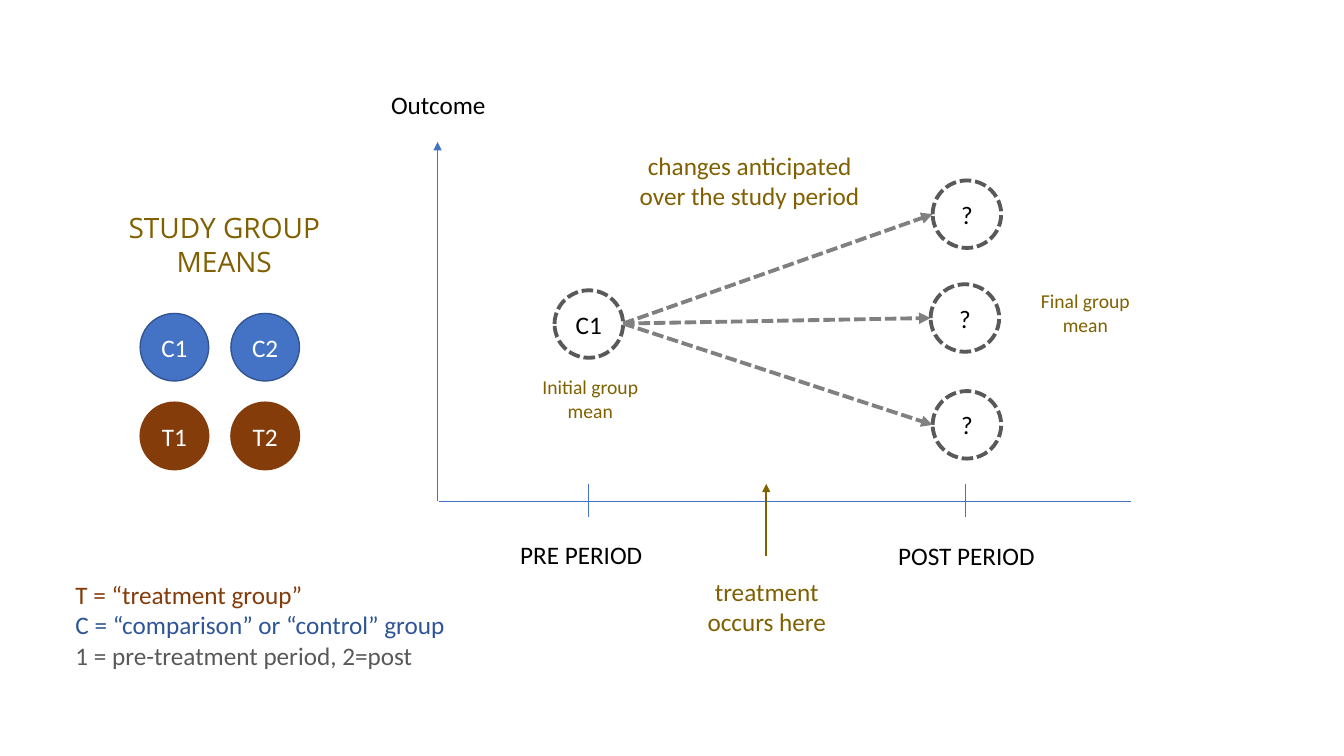
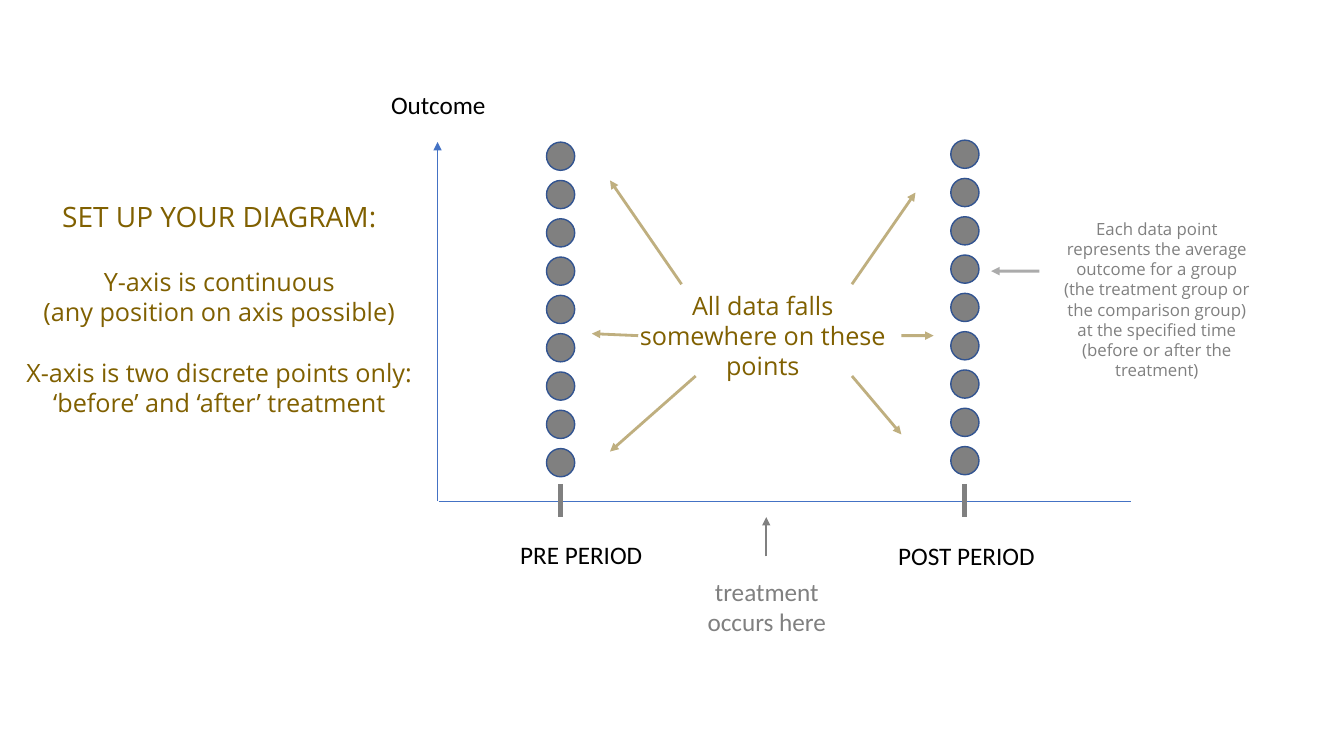
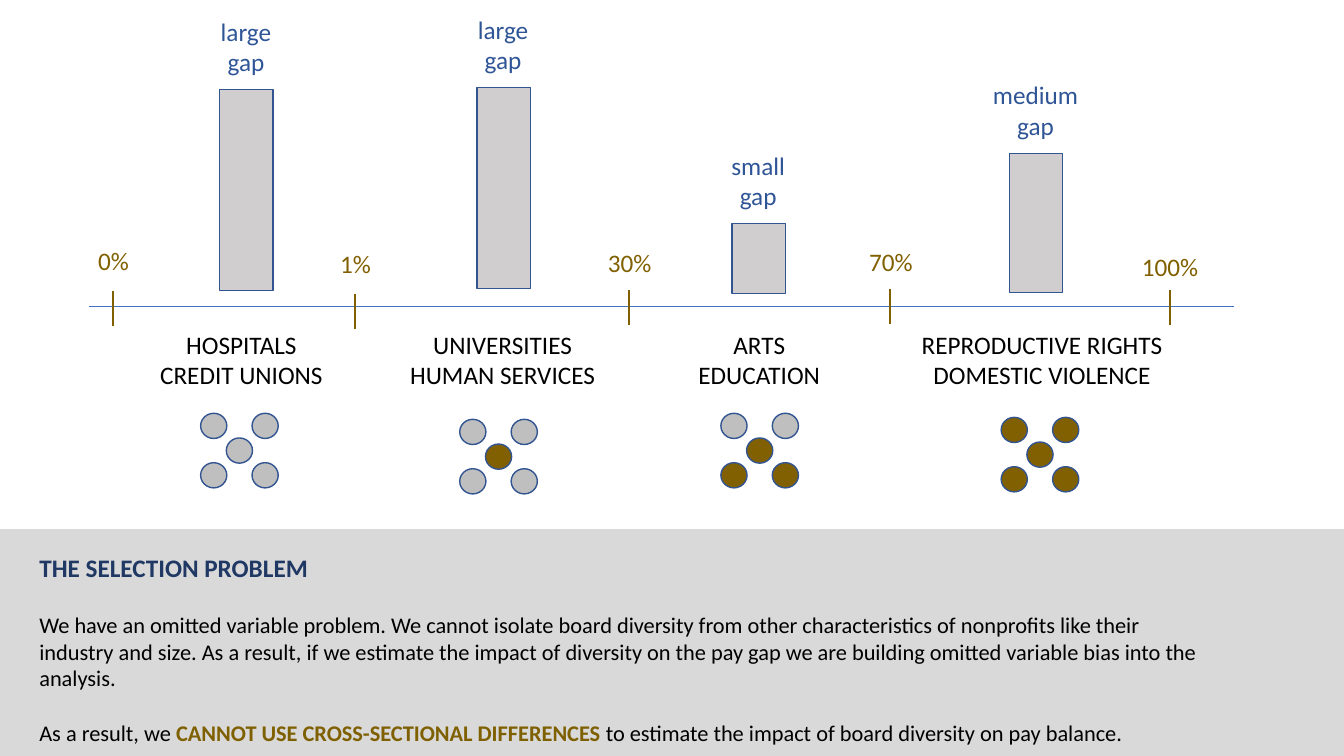
"""Build three slides on study group means, diagram set-up and the selection problem."""
import pptx
import pptx.dml.color
import pptx.enum.dml
import pptx.enum.shapes
import pptx.enum.text
import pptx.oxml
import pptx.oxml.ns
import pptx.util

COLORS = {
    "blue": "4472C4", "outline": "325491", "label": "2F5597", "navy": "203864",
    "gold": "806000", "strong": "7F6000", "brown": "843C0B", "dark": "595959",
    "gray": "808080", "dot": "BFBFBF", "bar": "D0CECE", "band": "D9D9D9",
    "black": "000000", "white": "FFFFFF",
}
WIDTH, HEIGHT = 13.33, 7.5
OVAL = pptx.enum.shapes.MSO_SHAPE.OVAL
RECTANGLE = pptx.enum.shapes.MSO_SHAPE.RECTANGLE
ALIGN = {"left": pptx.enum.text.PP_ALIGN.LEFT, "center": pptx.enum.text.PP_ALIGN.CENTER}

PERIODS = [("PRE PERIOD", (5.06, 5.3, 1.42, 0.4)), ("POST PERIOD", (8.81, 5.31, 1.57, 0.4))]
TREATMENT = "treatment\voccurs here"

MEANS_TITLE = "STUDY GROUP MEANS"
GROUPS = [("C", "blue", "outline"), ("T", "brown", "brown")]
LEGEND = [
    [("T = “treatment group”", "brown", False)],
    [("C = “comparison” or “control” group", "label", False)],
    [("1 = pre-treatment period, 2=post", "dark", False)],
]
INITIAL = ("C1", 5.5, 2.88)
FINALS = [("?", 9.25, 1.79), ("?", 9.23, 2.82), ("?", 9.25, 3.88)]
CHANGES = "changes anticipated\vover the study period"
MEAN_NOTES = [("Initial group mean", 5.15, 3.67), ("Final group mean", 10.06, 2.82)]

SETUP_TITLE = "SET UP YOUR DIAGRAM:"
SETUP_RULES = [
    "Y-axis is continuous",
    "(any position on axis possible)",
    "X-axis is two discrete points only:",
    "‘before’ and ‘after’ treatment",
]
POINT_COLUMNS = [(5.42, 1.41), (9.43, 1.39)]
POINT_COUNT, POINT_STEP = 9, 0.38
ALL_DATA = "All data falls somewhere on these points"
POINTERS = [
    ((8.45, 2.82), (9.08, 1.91)), ((8.94, 3.33), (9.26, 3.33)), ((8.45, 3.73), (8.94, 4.31)),
    ((6.76, 2.82), (6.05, 1.79)), ((6.33, 3.33), (5.87, 3.31)), ((6.9, 3.73), (6.05, 4.48)),
]
EACH_POINT = (
    "Each data point represents the average outcome for a group (the treatment group or "
    "the comparison group) at the specified time (before or after the treatment)"
)

PROBLEM_TITLE = "THE SELECTION PROBLEM"
PROBLEM = [
    "We have an omitted variable problem. We cannot isolate board diversity from other "
    "characteristics of nonprofits like their industry and size. As a result, if we estimate "
    "the impact of diversity on the pay gap we are building omitted variable bias into the "
    "analysis.",
    [
        ("As a result, we ", "black", False),
        ("CANNOT USE CROSS-SECTIONAL DIFFERENCES ", "strong", True),
        ("to estimate the impact of board diversity on pay balance.", "black", False),
    ],
]
SHARES = [
    ("0%", 1.12, 2.89, 2.38), ("1%", 3.52, 2.92, 2.41), ("30%", 6.24, 2.88, 2.4),
    ("70%", 8.83, 2.87, 2.39), ("100%", 11.6, 2.88, 2.44),
]
SECTORS = [
    {"names": ["HOSPITALS", "CREDIT UNIONS"], "place": (1.48, 1.83), "gap": "large",
     "bar": (2.18, 0.89, 1.99), "board": (1.99, 4.1), "diverse": 0},
    {"names": ["UNIVERSITIES", "HUMAN SERVICES"], "place": (3.96, 2.05), "gap": "large",
     "bar": (4.73, 0.87, 1.99), "board": (4.56, 4.16), "diverse": 1},
    {"names": ["ARTS", "EDUCATION"], "place": (6.82, 1.42), "gap": "small",
     "bar": (7.26, 2.22, 0.69), "board": (7.15, 4.1), "diverse": 3},
    {"names": ["REPRODUCTIVE RIGHTS", "DOMESTIC VIOLENCE"], "place": (9.03, 2.61),
     "gap": "medium", "bar": (10.01, 1.52, 1.38), "board": (9.93, 4.14), "diverse": 5},
]
SEATS = [(0.5, 0.5), (0, 1), (1, 1), (0, 0), (1, 0)]
SEAT_GAP = (0.51, 0.49)


def grid(*cells):
    """Turn one-inch grid cells into lengths."""
    return [pptx.util.Inches(cell) for cell in cells]


def rgb(color):
    """Look up a named colour."""
    return pptx.dml.color.RGBColor.from_string(COLORS[color])


def write(frame, paragraphs, size=18, font="Calibri", color="black", bold=False,
          align="center", gaps=None):
    """Fill a frame with paragraphs given as text or as (text, colour, bold) runs."""
    for row, content in enumerate(paragraphs):
        paragraph = frame.paragraphs[0] if row == 0 else frame.add_paragraph()
        paragraph.alignment = ALIGN[align]
        paragraph.space_before = pptx.util.Pt((gaps or {}).get(row, 0))
        if isinstance(content, str):
            paragraph.text = content
            styled = [(run, color, bold) for run in paragraph.runs]
        else:
            styled = []
            for text, run_color, run_bold in content:
                run = paragraph.add_run()
                run.text = text
                styled.append((run, run_color, run_bold))
        for run, run_color, run_bold in styled:
            run.font.size = pptx.util.Pt(size)
            run.font.name = font
            run.font.bold = run_bold
            run.font.color.rgb = rgb(run_color)


def label(shapes, paragraphs, place, wrap=False, **style):
    """Add a text box that grows with its text."""
    box = shapes.add_textbox(*grid(*place))
    write(box.text_frame, paragraphs, **style)
    box.text_frame.word_wrap = wrap
    box.text_frame.auto_size = pptx.enum.text.MSO_AUTO_SIZE.SHAPE_TO_FIT_TEXT


def fill_placeholder(holder, paragraphs, place, **style):
    """Move a title or body placeholder and write plain unbulleted text in it."""
    holder.left, holder.top, holder.width, holder.height = grid(*place)
    frame = holder.text_frame
    frame.word_wrap = True
    frame.auto_size = pptx.enum.text.MSO_AUTO_SIZE.NONE
    frame.vertical_anchor = pptx.enum.text.MSO_ANCHOR.TOP
    write(frame, paragraphs, **style)
    for paragraph in frame.paragraphs:
        properties = paragraph._p.get_or_add_pPr()
        properties.set("marL", "0")
        properties.set("indent", "0")
        properties.append(pptx.oxml.parse_xml(
            f"<a:buNone {pptx.oxml.ns.nsdecls('a')}/>"))


def draw(shapes, kind, place, fill=None, outline=None, weight=1, dashed=False, text=None,
         color="white"):
    """Add a flat preset shape."""
    shape = shapes.add_shape(kind, *grid(*place))
    shape.shadow.inherit = False
    if fill:
        shape.fill.solid()
        shape.fill.fore_color.rgb = rgb(fill)
    else:
        shape.fill.background()
    if outline:
        shape.line.color.rgb = rgb(outline)
        shape.line.width = pptx.util.Pt(weight)
    else:
        shape.line.fill.background()
    if dashed:
        shape.line.dash_style = pptx.enum.dml.MSO_LINE.SQUARE_DOT
    if text:
        write(shape.text_frame, [text], color=color)
        shape.text_frame.vertical_anchor = pptx.enum.text.MSO_ANCHOR.MIDDLE
    return shape


def connect(shapes, start, end, color="blue", weight=0.5, arrow=False, dashed=False,
            opacity=None):
    """Add a straight line, with an arrowhead at its end on request."""
    straight = pptx.enum.shapes.MSO_CONNECTOR.STRAIGHT
    connector = shapes.add_connector(straight, *grid(*start, *end))
    connector.line.color.rgb = rgb(color)
    connector.line.width = pptx.util.Pt(weight)
    if dashed:
        connector.line.dash_style = pptx.enum.dml.MSO_LINE.SQUARE_DOT
    properties = connector.element.spPr
    namespace = pptx.oxml.ns.nsdecls("a")
    if opacity:
        hue = properties.find(".//" + pptx.oxml.ns.qn("a:srgbClr"))
        hue.append(pptx.oxml.parse_xml(f'<a:alpha {namespace} val="{opacity * 1000}"/>'))
    if arrow:
        properties.find(pptx.oxml.ns.qn("a:ln")).append(
            pptx.oxml.parse_xml(f'<a:tailEnd {namespace} type="triangle"/>'))
    properties.append(pptx.oxml.parse_xml(f"<a:effectLst {namespace}/>"))


def draw_axes(shapes, ticks, tick_color, tick_weight, treatment_color, treatment_tip):
    """Draw the outcome and period axes with the treatment marker."""
    connect(shapes, (4.34, 4.97), (4.34, 1.41), arrow=True)
    connect(shapes, (4.35, 4.97), (11.22, 4.97))
    for x in ticks:
        connect(shapes, (x, 4.8), (x, 5.13), tick_color, tick_weight)
    label(shapes, ["Outcome"], (3.78, 0.84, 1.15, 0.4), align="left")
    for period, place in PERIODS:
        label(shapes, [period], place, align="left")
    connect(shapes, (7.6, 5.52), (7.6, treatment_tip), treatment_color, 1.25, arrow=True)
    label(shapes, [TREATMENT], (6.91, 5.67, 1.39, 0.71), color=treatment_color)


def build_means(slide):
    """Show the group means and the changes they may go through."""
    shapes = slide.shapes
    circle = (0.68, 0.67)
    fill_placeholder(shapes.title, [MEANS_TITLE], (1.13, 2.04, 2.19, 0.77),
                     size=20, font="Open Sans", color="gold")
    draw_axes(shapes, (5.84, 9.57), "blue", 0.5, "gold", 4.8)
    for row, (group, fill, outline) in enumerate(GROUPS):
        for column in range(2):
            draw(shapes, OVAL, (1.39 + 0.9 * column, 3.11 + 0.88 * row, *circle),
                 fill, outline, text=f"{group}{column + 1}")
    for text, left, top in [INITIAL, *FINALS]:
        draw(shapes, OVAL, (left, top, *circle), None, "dark", 2.75, True, text, "black")
    for _, left, top in FINALS:
        connect(shapes, (6.18, 3.21), (left, top + circle[1] / 2), "gray", 2.75,
                arrow=True, dashed=True)
    label(shapes, LEGEND, (0.65, 5.7, 4.05, 1.01), align="left")
    label(shapes, [CHANGES], (6.23, 1.44, 2.41, 0.71), color="gold")
    for note, left, top in MEAN_NOTES:
        label(shapes, [note], (left, top, 1.41, 0.57), wrap=True, size=14, color="gold")


def build_setup(slide):
    """Explain the axes and the two columns of possible data points."""
    shapes = slide.shapes
    fill_placeholder(shapes.title, [SETUP_TITLE], (0, 1.93, 4.35, 0.5),
                     size=20, font="Open Sans", color="gold")
    fill_placeholder(slide.placeholders[1], SETUP_RULES, (0, 2.59, 4.35, 1.63),
                     font="Open Sans", color="gold", gaps={2: 21.6})
    draw_axes(shapes, (5.56, 9.57), "gray", 3.75, "gray", 5.13)
    for left, top in POINT_COLUMNS:
        for row in range(POINT_COUNT):
            draw(shapes, OVAL, (left, top + POINT_STEP * row, 0.28, 0.28), "gray", "outline")
    label(shapes, [ALL_DATA], (6.19, 2.83, 2.75, 1.01), wrap=True, font="Open Sans",
          color="gold")
    for start, end in POINTERS:
        connect(shapes, start, end, "gold", 2, arrow=True, opacity=50)
    connect(shapes, (10.31, 2.69), (9.83, 2.69), "dark", 2, arrow=True, opacity=50)
    label(shapes, [EACH_POINT], (10.41, 2.12, 2.13, 1.51), wrap=True, size=12,
          font="Open Sans", color="gray")


def build_problem(slide):
    """Compare pay gaps by sector and state the selection problem."""
    shapes = slide.shapes
    band = draw(shapes, RECTANGLE, (0, HEIGHT * 0.7, WIDTH, HEIGHT * 0.3), "band")
    shapes.element.insert(2, band.element)
    fill_placeholder(shapes.title, [PROBLEM_TITLE], (0.29, 5.43, 11.9, 0.4),
                     color="navy", bold=True, align="left")
    fill_placeholder(slide.placeholders[1], PROBLEM, (0.29, 6.01, 11.9, 1.45),
                     size=16, align="left", gaps={1: 19.5})
    connect(shapes, (0.88, 3.04), (12.24, 3.04))
    for share, x, tick_top, label_top in SHARES:
        connect(shapes, (x, tick_top), (x, tick_top + 0.34), "gold", 1.5)
        label(shapes, [share], (x - 0.72, label_top, 1.45, 0.4), wrap=True, color="gold")
    for sector in SECTORS:
        left, top, height = sector["bar"]
        draw(shapes, RECTANGLE, (left, top, 0.53, height), "bar", "outline")
        label(shapes, [sector["gap"], "gap"], (left - 0.27, top - 0.78, 1.06, 0.71),
              color="label")
        name_left, name_width = sector["place"]
        label(shapes, sector["names"], (name_left, 3.22, name_width, 0.71))
        board = shapes.add_group_shape().shapes
        board_left, board_top = sector["board"]
        for seat, (column, row) in enumerate(SEATS):
            place = (board_left + SEAT_GAP[0] * column, board_top + SEAT_GAP[1] * row)
            draw(board, OVAL, (*place, 0.26, 0.25),
                 "gold" if seat < sector["diverse"] else "dot", "outline")


deck = pptx.Presentation()
deck.slide_width, deck.slide_height = grid(WIDTH, HEIGHT)
TITLE_ONLY, TITLE_AND_BODY = deck.slide_layouts[5], deck.slide_layouts[1]
for layout, build in [(TITLE_ONLY, build_means), (TITLE_AND_BODY, build_setup),
                      (TITLE_AND_BODY, build_problem)]:
    build(deck.slides.add_slide(layout))
deck.save("out.pptx")
